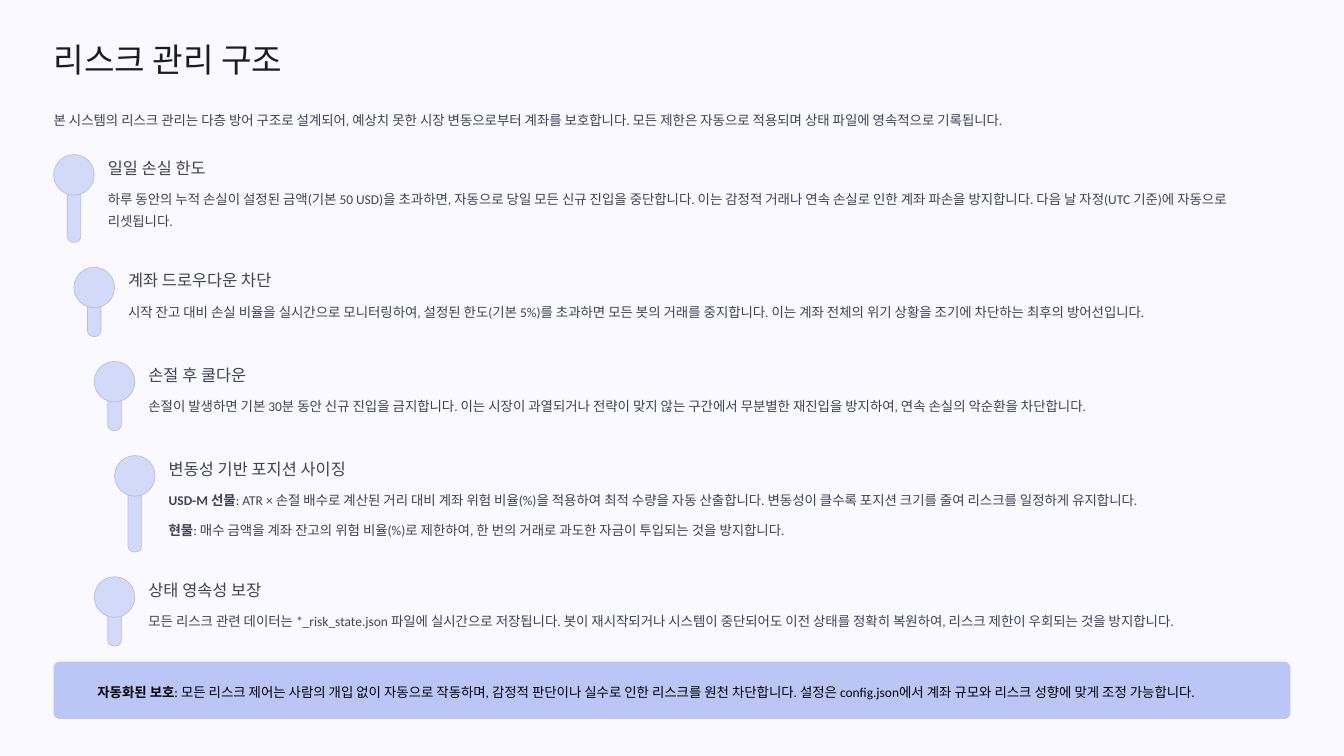
from lxml import etree
from pptx import Presentation
from pptx.dml.color import RGBColor
from pptx.enum import shapes, text
from pptx.oxml import ns
from pptx.util import Pt

BACKGROUND = RGBColor(0xF9, 0xF9, 0xFF)
TITLE = RGBColor(0x1B, 0x1B, 0x27)
BODY = RGBColor(0x40, 0x41, 0x55)
MARKER = RGBColor(0xD2, 0xD9, 0xF9)
MARKER_LINE = RGBColor(0xB8, 0xBF, 0xDF)
BANNER = RGBColor(0xBB, 0xC6, 0xF7)
BLACK = RGBColor(0, 0, 0)
FONT = "Calibri"

LEFT, RIGHT = 46, 1106
INDENT, GAP = 17.4, 21.4
DISC, STEM_W, STEM_DROP = 34.8, 11.6, 7.5
LINE_H, PARAGRAPH_STEP = 18.5, 25.2

INTRO = "본 시스템의 리스크 관리는 다층 방어 구조로 설계되어, 예상치 못한 시장 변동으로부터 계좌를 보호합니다. 모든 제한은 자동으로 적용되며 상태 파일에 영속적으로 기록됩니다."
LAYERS = [
    (0, 67.7, "일일 손실 한도", [
        ("", "하루 동안의 누적 손실이 설정된 금액(기본 50 USD)을 초과하면, 자동으로 당일 모든 신규 진입을 중단합니다. 이는 감정적 거래나 연속 손실로 인한 계좌 파손을 방지합니다. 다음 날 자정(UTC 기준)에 자동으로 리셋됩니다.")]),
    (1, 51.8, "계좌 드로우다운 차단", [
        ("", "시작 잔고 대비 손실 비율을 실시간으로 모니터링하여, 설정된 한도(기본 5%)를 초과하면 모든 봇의 거래를 중지합니다. 이는 계좌 전체의 위기 상황을 조기에 차단하는 최후의 방어선입니다.")]),
    (2, 51.8, "손절 후 쿨다운", [
        ("", "손절이 발생하면 기본 30분 동안 신규 진입을 금지합니다. 이는 시장이 과열되거나 전략이 맞지 않는 구간에서 무분별한 재진입을 방지하여, 연속 손실의 악순환을 차단합니다.")]),
    (3, 75, "변동성 기반 포지션 사이징", [
        ("USD-M 선물", ": ATR × 손절 배수로 계산된 거리 대비 계좌 위험 비율(%)을 적용하여 최적 수량을 자동 산출합니다. 변동성이 클수록 포지션 크기를 줄여 리스크를 일정하게 유지합니다."),
        ("현물", ": 매수 금액을 계좌 잔고의 위험 비율(%)로 제한하여, 한 번의 거래로 과도한 자금이 투입되는 것을 방지합니다.")]),
    (2, 51.8, "상태 영속성 보장", [
        ("", "모든 리스크 관련 데이터는 *_risk_state.json 파일에 실시간으로 저장됩니다. 봇이 재시작되거나 시스템이 중단되어도 이전 상태를 정확히 복원하여, 리스크 제한이 우회되는 것을 방지합니다.")]),
]
PROTECTION = ("자동화된 보호", ": 모든 리스크 제어는 사람의 개입 없이 자동으로 작동하며, 감정적 판단이나 실수로 인한 리스크를 원천 차단합니다. 설정은 config.json에서 계좌 규모와 리스크 성향에 맞게 조정 가능합니다.")


def write(sp, parts, size, color, spacing):
    tf = sp.text_frame
    tf.margin_left = tf.margin_right = tf.margin_top = tf.margin_bottom = 0
    tf.word_wrap = True
    tf.auto_size = text.MSO_AUTO_SIZE.NONE
    tf.vertical_anchor = text.MSO_ANCHOR.TOP
    p = tf.paragraphs[0]
    p.alignment = text.PP_ALIGN.LEFT
    p.line_spacing = Pt(spacing)
    p.space_before = Pt(0)
    for content, bold in parts:
        r = p.add_run()
        r.text = content
        r.font.size = Pt(size)
        r.font.bold = bold
        r.font.color.rgb = color
        r.font.name = FONT
        for tag in ("a:ea", "a:cs"):
            etree.SubElement(r.font._element, ns.qn(tag), typeface=FONT)


def add_text(slide, x, y, w, h, parts, size=11.5, color=BODY, spacing=LINE_H):
    sp = slide.shapes.add_textbox(Pt(x), Pt(y), Pt(w), Pt(h))
    write(sp, parts, size, color, spacing)


def labelled(label, body):
    return [(content, bold) for content, bold in ((label, True), (body, False)) if content]


def add_block(slide, x, y, w, h, radius, fill, line=None):
    sp = slide.shapes.add_shape(shapes.MSO_SHAPE.ROUNDED_RECTANGLE, Pt(x), Pt(y), Pt(w), Pt(h))
    sp.adjustments[0] = radius
    sp.shadow.inherit = False
    sp.fill.solid()
    sp.fill.fore_color.rgb = fill
    if line is None:
        sp.line.fill.background()
    else:
        sp.line.color.rgb = line
        sp.line.width = Pt(0.6)


def add_header(slide, x, y, w):
    title = slide.shapes.title
    title.left, title.top, title.width, title.height = Pt(x), Pt(y), Pt(w), Pt(36)
    write(title, [("리스크 관리 구조", False)], 28.5, TITLE, 36)
    add_text(slide, x, y + 59.5, w, LINE_H, [(INTRO, False)])


def add_layer(slide, x, y, w, stem_h, heading, paragraphs):
    add_block(slide, x + (DISC - STEM_W) / 2, y + STEM_DROP, STEM_W, stem_h, 0.42, MARKER, MARKER_LINE)
    add_block(slide, x, y, DISC, DISC, 0.5, MARKER, MARKER_LINE)
    text_x = x + DISC + 11.6
    text_w = x + w - text_x
    add_text(slide, text_x, y + 1.7, text_w, 18, [(heading, False)], 14, BODY, 18)
    for i, (label, body) in enumerate(paragraphs):
        add_text(slide, text_x, y + 26.7 + i * PARAGRAPH_STEP, text_w, LINE_H, labelled(label, body))


def add_layers(slide, x, y, w):
    for level, stem_h, heading, paragraphs in LAYERS:
        shift = level * INDENT
        add_layer(slide, x + shift, y, w - shift, stem_h, heading, paragraphs)
        y += STEM_DROP + stem_h + GAP


def add_banner(slide, x, y, w, h):
    add_block(slide, x, y, w, h, 0.1, BANNER)
    add_text(slide, x + 37.5, y + 14.6, w - 50, LINE_H, labelled(*PROTECTION), color=BLACK)


def main():
    prs = Presentation()
    prs.slide_width, prs.slide_height = Pt(1152), Pt(648)
    slide = prs.slides.add_slide(prs.slide_layouts[5])
    slide.background.fill.solid()
    slide.background.fill.fore_color.rgb = BACKGROUND
    width = RIGHT - LEFT
    add_header(slide, LEFT, 31.7, width)
    add_layers(slide, LEFT, 132.5, width)
    add_banner(slide, LEFT, 567.2, width, 49)
    prs.save("out.pptx")


if __name__ == "__main__":
    main()
